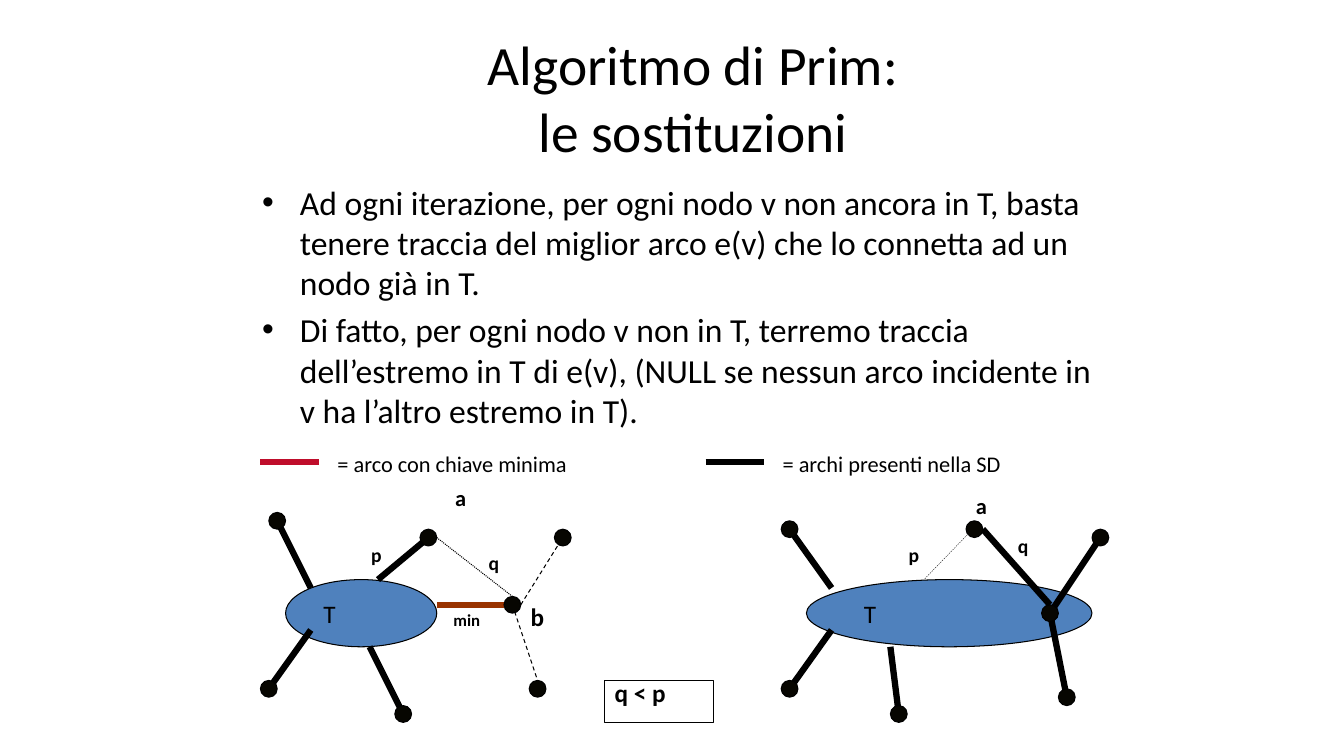
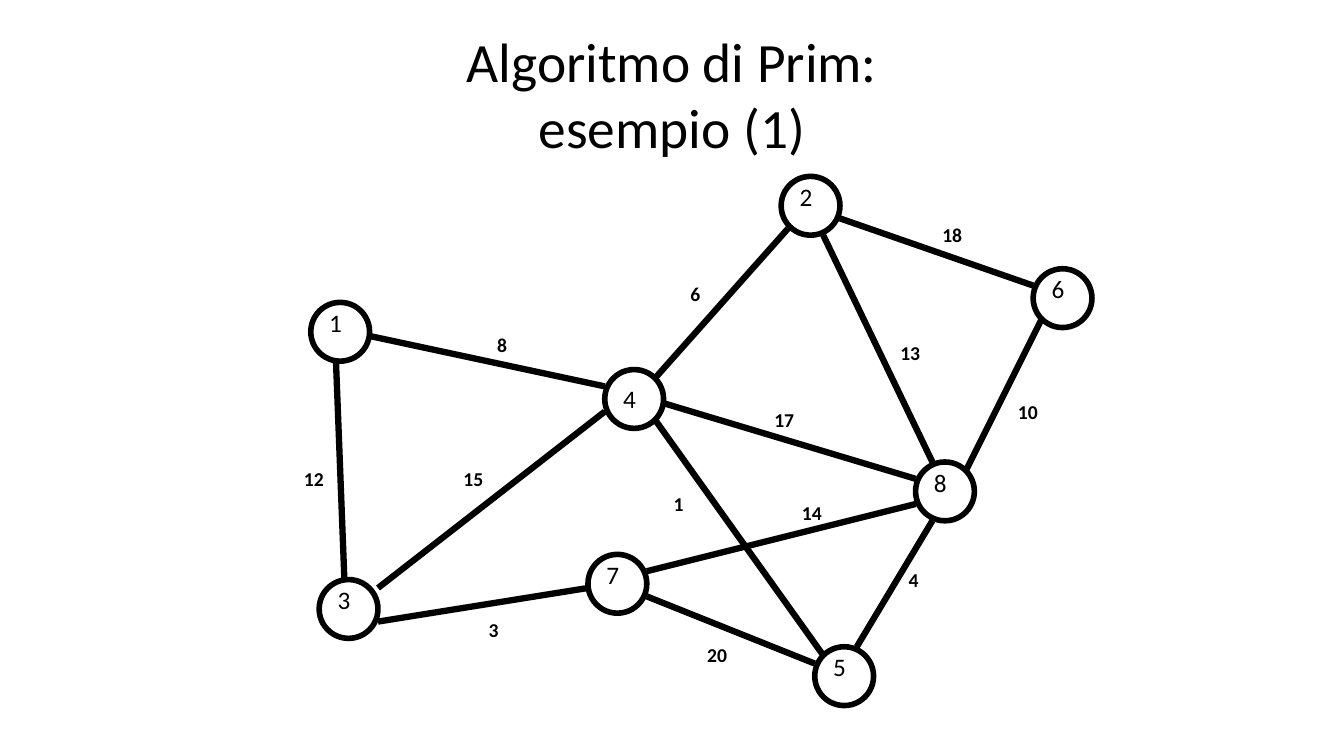
from dataclasses import dataclass
from typing import Optional

from lxml import etree
from pptx import Presentation
from pptx import util as u
from pptx.dml.color import RGBColor
from pptx.enum import dml, shapes, text
from pptx.oxml import ns

BLACK = RGBColor(0x00, 0x00, 0x00)
WHITE = RGBColor(0xFF, 0xFF, 0xFF)
BLUE = RGBColor(0x4F, 0x81, 0xBD)
RED = RGBColor(0xBF, 0x0D, 0x2B)
BROWN = RGBColor(0x99, 0x33, 0x00)
INK = RGBColor(0x07, 0x06, 0x01)
FONT = "Calibri"
STEP = 2.54 / 12
DOT = 2
NODE = 7
DASH = dml.MSO_LINE.DASH
POINTS = dml.MSO_LINE.ROUND_DOT
OVAL = shapes.MSO_SHAPE.OVAL
RECT = shapes.MSO_SHAPE.RECTANGLE


@dataclass(frozen=True)
class Edge:
    x1: float
    y1: float
    x2: float
    y2: float
    tint: RGBColor = BLACK
    width: float = 4.5
    dash: Optional[dml.MSO_LINE] = None


@dataclass(frozen=True)
class Label:
    words: str
    x: float
    y: float
    size: float = 14
    bold: bool = True
    width: float = 4


@dataclass(frozen=True)
class Node:
    name: str
    x: float
    y: float
    drop: float = 0


TREES = [(34, 18), (96, 34)]

CUTS = [
    Edge(37, 75, 32, 82),
    Edge(44, 77, 48, 85),
    Edge(33, 62, 37, 70),
    Edge(51, 64, 45, 69),
    Edge(52, 72, 60, 72, BROWN),
    Edge(52, 64, 61, 71, BLACK, 0.75, POINTS),
    Edge(61, 72, 64, 81, BLACK, 0.75, DASH),
    Edge(62, 72, 67, 64, BLACK, 0.75, DASH),
    Edge(99, 75, 94, 82),
    Edge(106, 77, 107, 85),
    Edge(94, 63, 99, 70),
    Edge(116, 62.8, 110, 69, BLACK, 0.25, DASH),
    Edge(125, 73, 131, 64),
    Edge(125, 73, 127, 83),
    Edge(125, 72, 117, 63),
    Edge(84, 55, 91, 55),
    Edge(31, 55, 38, 55, RED),
]

DOTS = [
    (50, 63), (47, 84), (31, 81), (32, 61), (60, 71), (66, 63), (63, 81),
    (130, 63), (124, 72), (126, 82), (93, 62), (93, 81), (106, 84), (115, 62),
]

NOTES = [
    Label("q < p", 72, 80, 18, width=9),
    Label("min", 52.8, 72, 12, width=6),
    Label("p", 43, 64),
    Label("q", 57, 65),
    Label("a", 53, 57, 16),
    Label("b", 62, 71, 18),
    Label("p", 107, 64),
    Label("q", 120, 63),
    Label("a", 115, 58, 16),
    Label("= arco con chiave minima", 39, 53, 16, False, 31),
    Label("= archi presenti nella SD", 92, 53, 16, False, 30),
]

ITEMS = [
    "Ad ogni iterazione, per ogni nodo v non ancora in T, basta tenere traccia "
    "del miglior arco e(v) che lo connetta ad un nodo già in T.",
    "Di fatto, per ogni nodo v non in T, terremo traccia dell’estremo in T di "
    "e(v), (NULL se nessun arco incidente in v ha l’altro estremo in T).",
]

NODES = [
    Node("1", 37, 36),
    Node("2", 93, 21),
    Node("3", 38, 69),
    Node("4", 72, 44, 1),
    Node("5", 97, 77),
    Node("6", 123, 32),
    Node("7", 70, 66),
    Node("8", 109, 55),
]

LINKS = [
    Edge(40, 43, 41, 69),
    Edge(44, 40, 72, 46),
    Edge(72, 49, 45, 70),
    Edge(109, 60, 77, 68),
    Edge(94, 27, 78, 45),
    Edge(100, 26, 123, 34),
    Edge(78, 50, 98, 78),
    Edge(98, 28, 111, 55),
    Edge(79, 48, 109, 57),
    Edge(45, 74, 70, 70),
    Edge(115, 56, 124, 38),
    Edge(77, 71, 97, 79),
    Edge(111, 62, 102, 77),
]

COSTS = [
    Label("12", 35, 55, width=5),
    Label("8", 58, 39),
    Label("15", 54, 55, width=5),
    Label("3", 57, 73),
    Label("6", 81, 33),
    Label("4", 107, 67),
    Label("18", 111, 26, width=5),
    Label("17", 91, 48, width=5),
    Label("13", 106, 40, width=5),
    Label("10", 120, 47, width=5),
    Label("20", 83, 76, width=5),
    Label("1", 79, 58),
    Label("14", 94.3, 59, width=5),
]


def grid(n: float) -> u.Length:
    return u.Cm(n * STEP)


def place(shape, x: float, y: float, w: float, h: float) -> None:
    shape.left, shape.top = grid(x), grid(y)
    shape.width, shape.height = grid(w), grid(h)


def write(para, words: str, size: float, bold: bool = False) -> None:
    run = para.add_run()
    run.text = words
    run.font.name = FONT
    run.font.size = u.Pt(size)
    run.font.bold = bold
    run.font.color.rgb = BLACK


def start(deck, kind: int, lines: list[str], x: float, y: float, w: float):
    slide = deck.slides.add_slide(deck.slide_layouts[kind])
    title = slide.shapes.title
    place(title, x, y, w, 15)
    frame = title.text_frame
    frame.auto_size = text.MSO_AUTO_SIZE.NONE
    frame.vertical_anchor = text.MSO_ANCHOR.MIDDLE
    para = frame.paragraphs[0]
    para.alignment = text.PP_ALIGN.CENTER
    for i, line in enumerate(lines):
        if i:
            para.add_line_break()
        write(para, line, 39.6)
    return slide


def draw(slide, kind, x: float, y: float, w: float, h: float,
         fill: Optional[RGBColor] = None, line: float = 0.75):
    shape = slide.shapes.add_shape(kind, grid(x), grid(y), grid(w), grid(h))
    shape.shadow.inherit = False
    if fill is None:
        shape.fill.background()
    else:
        shape.fill.solid()
        shape.fill.fore_color.rgb = fill
    shape.line.color.rgb = BLACK
    shape.line.width = u.Pt(line)
    return shape


def join(slide, edge: Edge) -> None:
    line = slide.shapes.add_connector(
        shapes.MSO_CONNECTOR.STRAIGHT,
        grid(edge.x1), grid(edge.y1), grid(edge.x2), grid(edge.y2))
    line.line.color.rgb = edge.tint
    line.line.width = u.Pt(edge.width)
    if edge.dash is not None:
        line.line.dash_style = edge.dash
    etree.SubElement(line.element.spPr, ns.qn("a:effectLst"))


def tag(slide, label: Label) -> None:
    box = slide.shapes.add_textbox(
        grid(label.x), grid(label.y), grid(label.width), grid(4))
    frame = box.text_frame
    frame.word_wrap = True
    frame.auto_size = text.MSO_AUTO_SIZE.SHAPE_TO_FIT_TEXT
    write(frame.paragraphs[0], label.words, label.size, label.bold)


def swaps(deck) -> None:
    slide = start(deck, 1, ["Algoritmo di Prim:", "le sostituzioni"], 28, 4, 109)
    body = slide.placeholders[1]
    place(body, 30, 21, 102, 54)
    frame = body.text_frame
    frame.auto_size = text.MSO_AUTO_SIZE.NONE
    for i, item in enumerate(ITEMS):
        para = frame.add_paragraph() if i else frame.paragraphs[0]
        write(para, item, 24)

    draw(slide, RECT, 72, 81, 13, 5, WHITE)
    for x, width in TREES:
        tree = draw(slide, OVAL, x, 69, width, 8, BLUE)
        tree.text_frame.word_wrap = False
        tree.text_frame.vertical_anchor = text.MSO_ANCHOR.MIDDLE
        para = tree.text_frame.paragraphs[0]
        para.alignment = text.PP_ALIGN.LEFT
        write(para, " T", 18)
    for edge in CUTS:
        join(slide, edge)
    for x, y in DOTS:
        draw(slide, OVAL, x, y, DOT, DOT, INK)
    for label in NOTES:
        tag(slide, label)


def graph(deck) -> None:
    slide = start(deck, 5, ["Algoritmo di Prim:", "esempio (1)"], 8, 3.6, 144)
    for node in NODES:
        draw(slide, OVAL, node.x, node.y, NODE, NODE, line=4)
        tag(slide, Label(node.name, node.x + 1, node.y + node.drop, 18, False))
    for edge in LINKS:
        join(slide, edge)
    for label in COSTS:
        tag(slide, label)


def main() -> None:
    deck = Presentation()
    deck.slide_width, deck.slide_height = grid(160), grid(90)
    swaps(deck)
    graph(deck)
    deck.save("out.pptx")


if __name__ == "__main__":
    main()
